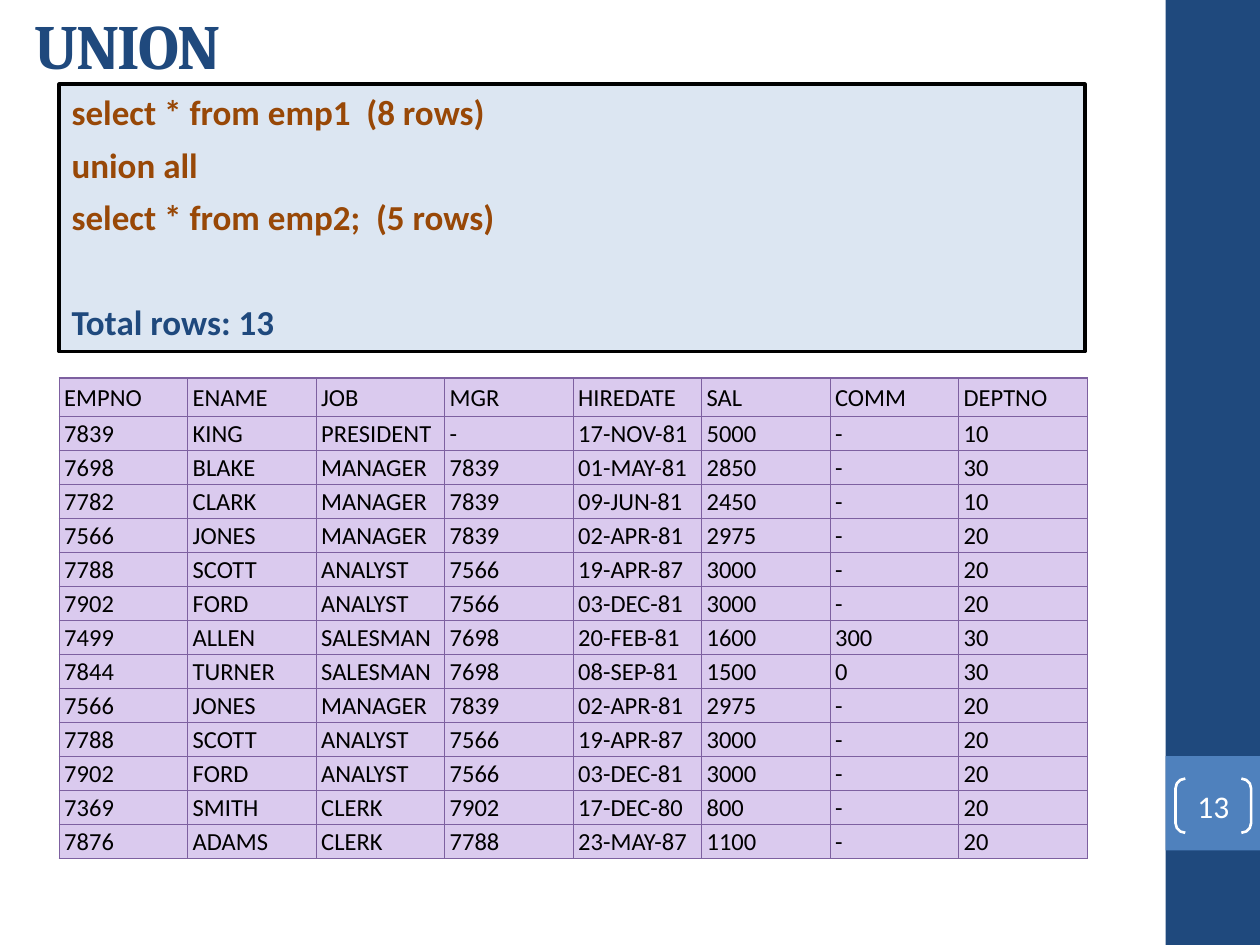
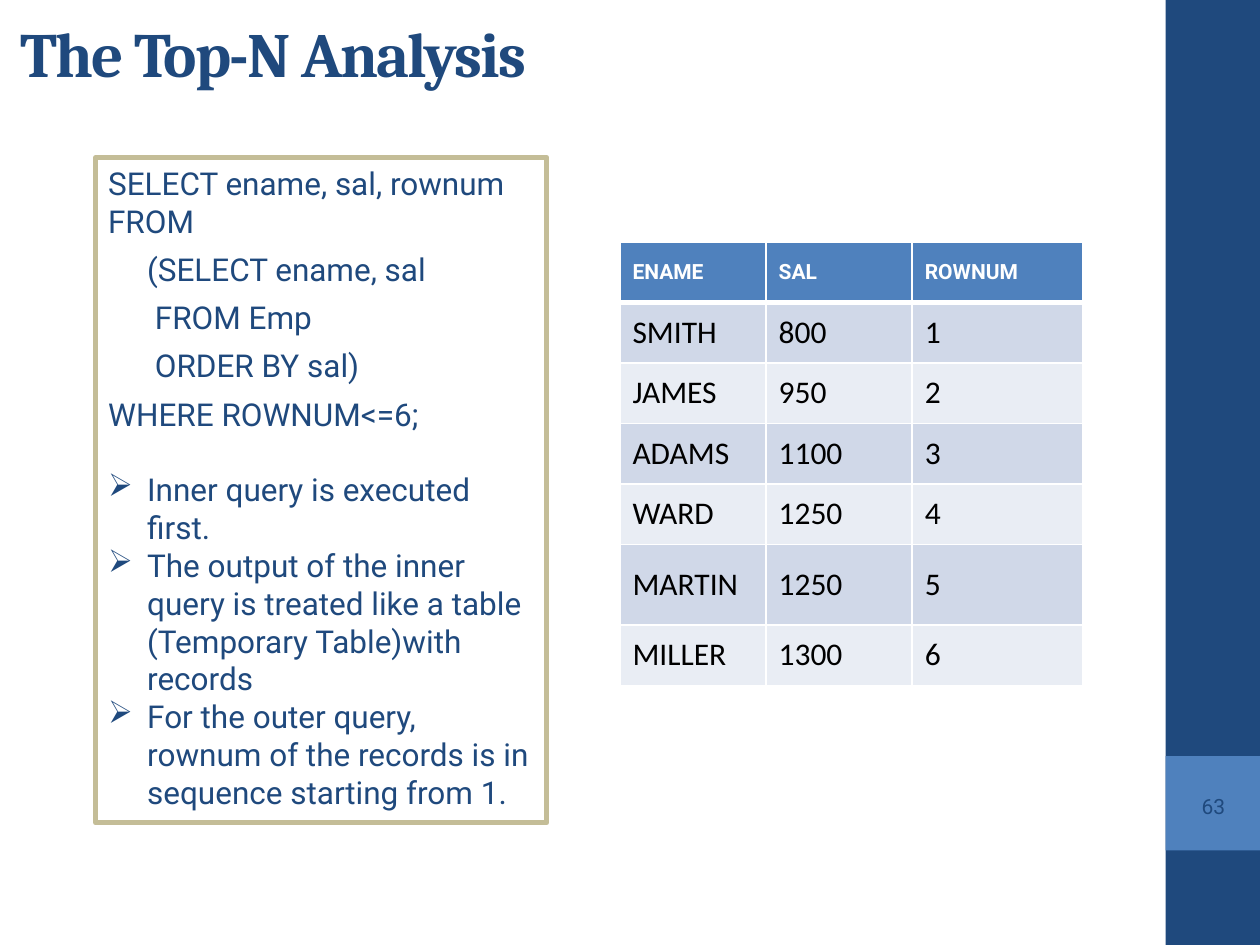
import pptx
import pptx.util
import pptx.dml.color
import pptx.enum.shapes
import pptx.enum.text
import pptx.oxml.ns
import lxml.etree

Inches, Pt = pptx.util.Inches, pptx.util.Pt
RGB = pptx.dml.color.RGBColor
SHAPE = pptx.enum.shapes.MSO_SHAPE
ANCHOR = pptx.enum.text.MSO_ANCHOR
ALIGN = pptx.enum.text.PP_ALIGN
qn = pptx.oxml.ns.qn

# Shared colours and fonts
NAVY = RGB(0x1F, 0x49, 0x7D)
BLUE = RGB(0x4F, 0x81, 0xBD)
PALE_BLUE = RGB(0xDC, 0xE6, 0xF2)
BAND_DARK = RGB(0xD0, 0xD8, 0xE8)
BAND_LIGHT = RGB(0xE9, 0xED, 0xF4)
BROWN = RGB(0x98, 0x48, 0x07)
TAN = RGB(0xC4, 0xBD, 0x97)
PURPLE = RGB(0x7D, 0x60, 0xA0)
LILAC = RGB(0xDA, 0xCA, 0xEE)
WHITE = RGB(0xFF, 0xFF, 0xFF)
BLACK = RGB(0, 0, 0)
HEADING, BODY, CODE = "Cambria", "Calibri", "Roboto"

# Slide content
UNION_QUERY = [
    "select * from emp1  (8 rows)",
    "union all",
    "select * from emp2;  (5 rows)",
]
EMPLOYEES = """EMPNO ENAME JOB MGR HIREDATE SAL COMM DEPTNO
7839 KING PRESIDENT - 17-NOV-81 5000 - 10
7698 BLAKE MANAGER 7839 01-MAY-81 2850 - 30
7782 CLARK MANAGER 7839 09-JUN-81 2450 - 10
7566 JONES MANAGER 7839 02-APR-81 2975 - 20
7788 SCOTT ANALYST 7566 19-APR-87 3000 - 20
7902 FORD ANALYST 7566 03-DEC-81 3000 - 20
7499 ALLEN SALESMAN 7698 20-FEB-81 1600 300 30
7844 TURNER SALESMAN 7698 08-SEP-81 1500 0 30
7566 JONES MANAGER 7839 02-APR-81 2975 - 20
7788 SCOTT ANALYST 7566 19-APR-87 3000 - 20
7902 FORD ANALYST 7566 03-DEC-81 3000 - 20
7369 SMITH CLERK 7902 17-DEC-80 800 - 20
7876 ADAMS CLERK 7788 23-MAY-87 1100 - 20"""
TOP_N_QUERY = [
    "SELECT ename, sal, rownum  FROM",
    "     (SELECT ename, sal",
    "      FROM Emp",
    "      ORDER BY sal)",
    "WHERE ROWNUM<=6;",
]
TOP_N_NOTES = [
    "Inner query is executed first.",
    "The output of the inner query is treated like a table (Temporary Table)with records",
    "For the outer query, rownum of the records is in sequence starting from 1.",
]
LOWEST_PAID = """ENAME SAL ROWNUM
SMITH 800 1
JAMES 950 2
ADAMS 1100 3
WARD 1250 4
MARTIN 1250 5
MILLER 1300 6"""


def split_rows(text):
    return [line.split() for line in text.splitlines()]


def style(p, size, font, color, bold=False):
    for r in p.runs:
        r.font.size = Pt(size)
        r.font.name = font
        r.font.color.rgb = color
        r.font.bold = bold


def add_box(s, box, kind=SHAPE.RECTANGLE, fill=None, line=None, width=1):
    sp = s.shapes.add_shape(kind, *map(Inches, box))
    sp.shadow.inherit = False
    if fill is None:
        sp.fill.background()
    else:
        sp.fill.solid()
        sp.fill.fore_color.rgb = fill
    if line is None:
        sp.line.fill.background()
    else:
        sp.line.color.rgb = line
        sp.line.width = Pt(width)
    tf = sp.text_frame
    tf.word_wrap = True
    tf.vertical_anchor = ANCHOR.TOP
    return sp


def add_line(tf, text, space_before, bullet=None):
    """Fill the first paragraph, or append another one."""
    first = not tf.text
    p = tf.paragraphs[0] if first else tf.add_paragraph()
    p.text = text
    p.alignment = ALIGN.LEFT
    if bullet:
        ppr = p._p.get_or_add_pPr()
        ppr.set("marL", str(Inches(0.31)))
        ppr.set("indent", str(-Inches(0.31)))
        lxml.etree.SubElement(ppr, qn("a:buChar")).set("char", bullet)
    p.space_before = Pt(0 if first else space_before)
    return p


def add_title(s, box, text):
    sp = s.shapes.title
    sp.left, sp.top, sp.width, sp.height = map(Inches, box)
    tf = sp.text_frame
    tf.text = text
    tf.word_wrap = True
    tf.vertical_anchor = ANCHOR.MIDDLE
    p = tf.paragraphs[0]
    p.alignment = ALIGN.LEFT
    style(p, 36, HEADING, NAVY, bold=True)
    p.runs[0]._r.get_or_add_rPr().set("spc", "-100")


def add_side_band(s, box, number, size, font, color, bracket=None):
    """Right-hand band with the page number in its lighter square."""
    left, top, width, height = box
    add_box(s, box, fill=NAVY)
    add_box(s, (left, top + 6, width, width), fill=BLUE)
    sp = add_box(s, (left + 0.08, top + 6.18, 0.6, 0.43),
                 SHAPE.DOUBLE_BRACKET, line=bracket, width=1.5)
    sp.adjustments[0] = 0.18
    tf = sp.text_frame
    tf.margin_left = tf.margin_right = tf.margin_top = tf.margin_bottom = 0
    tf.vertical_anchor = ANCHOR.MIDDLE
    p = add_line(tf, number, 0)
    p.alignment = ALIGN.CENTER
    style(p, size, font, color)


def set_borders(cell, color, widths):
    """Draw the left, right, top and bottom edges, widths in points."""
    tcpr = cell._tc.get_or_add_tcPr()
    for side, width in zip("LRTB", widths):
        ln = lxml.etree.SubElement(tcpr, qn(f"a:ln{side}"), w=str(Pt(width)))
        fill = lxml.etree.SubElement(ln, qn("a:solidFill"))
        lxml.etree.SubElement(fill, qn("a:srgbClr"), val=str(color))


def add_grid(s, left, top, rows, widths, heights, format_cell):
    """Table whose cells are finished by format_cell(cell, row_index)."""
    frame = s.shapes.add_table(
        len(rows), len(widths), Inches(left), Inches(top),
        Inches(sum(widths)), Inches(sum(heights)))
    tbl = frame.table
    tbl.horz_banding = False
    for column, width in zip(tbl.columns, widths):
        column.width = Inches(width)
    for i, (values, height) in enumerate(zip(rows, heights)):
        tbl.rows[i].height = Inches(height)
        for cell, value in zip(tbl.rows[i].cells, values):
            cell.text = value
            cell.vertical_anchor = ANCHOR.MIDDLE
            format_cell(cell, i)


def format_employee(cell, row):
    set_borders(cell, PURPLE, [0.75] * 4)
    cell.fill.solid()
    cell.fill.fore_color.rgb = LILAC
    cell.margin_left = cell.margin_right = Inches(0.04)
    cell.margin_top = Inches(0.02 if row else 0.04)
    cell.margin_bottom = Inches(0.01 if row else 0.03)
    if row == 0:
        cell.vertical_anchor = ANCHOR.BOTTOM
    style(cell.text_frame.paragraphs[0], 14, BODY, BLACK)


def format_lowest_paid(cell, row):
    set_borders(cell, WHITE,
                [1, 1, 3 if row == 1 else 1, 3 if row == 0 else 1])
    cell.fill.solid()
    p = cell.text_frame.paragraphs[0]
    if row == 0:
        cell.fill.fore_color.rgb = BLUE
        style(p, 12, CODE, WHITE, bold=True)
    else:
        cell.fill.fore_color.rgb = BAND_DARK if row % 2 else BAND_LIGHT
        style(p, 18, BODY, BLACK)


def add_union_query(s, box):
    tf = add_box(s, box, fill=PALE_BLUE, line=BLACK, width=2.25).text_frame
    for text in UNION_QUERY:
        style(add_line(tf, text, 6), 20, BODY, BROWN, bold=True)
    style(add_line(tf, "Total rows: 13", 36), 20, BODY, NAVY, bold=True)


def add_top_n_query(s, box):
    tf = add_box(s, box, line=TAN, width=3).text_frame
    for text in TOP_N_QUERY:
        add_line(tf, text, 6)
    for i, text in enumerate(TOP_N_NOTES):
        add_line(tf, text, 0 if i else 21.6, bullet="➢")
    for p in tf.paragraphs:
        style(p, 18, CODE, NAVY)


def build_union(prs, band):
    s = prs.slides.add_slide(prs.slide_layouts[5])
    add_side_band(s, band, "13", 18, BODY, WHITE, bracket=WHITE)
    add_union_query(s, (0.47, 0.67, 8.14, 2.12))
    rows = split_rows(EMPLOYEES)
    add_grid(s, 0.47, 3, rows, [1.02] * 8,
             [0.3] + [0.27] * (len(rows) - 1), format_employee)
    add_title(s, (0.17, 0.02, 8.33, 0.67), "UNION")


def build_top_n(prs, band):
    s = prs.slides.add_slide(prs.slide_layouts[5])
    add_side_band(s, band, "63", 12, CODE, NAVY)
    add_top_n_query(s, (0.76, 1.25, 3.58, 5.28))
    add_title(s, (0.06, 0.08, 8.95, 0.67), "The Top-N Analysis")
    add_grid(s, 4.92, 1.92, split_rows(LOWEST_PAID), [1.16, 1.16, 1.35],
             [0.48] * 5 + [0.64, 0.48], format_lowest_paid)


def main():
    prs = pptx.Presentation()
    prs.slide_width, prs.slide_height = Inches(10), Inches(7.5)
    band = (9.25, 0, 0.75, 7.5)
    build_union(prs, band)
    build_top_n(prs, band)
    prs.save("out.pptx")


if __name__ == "__main__":
    main()
